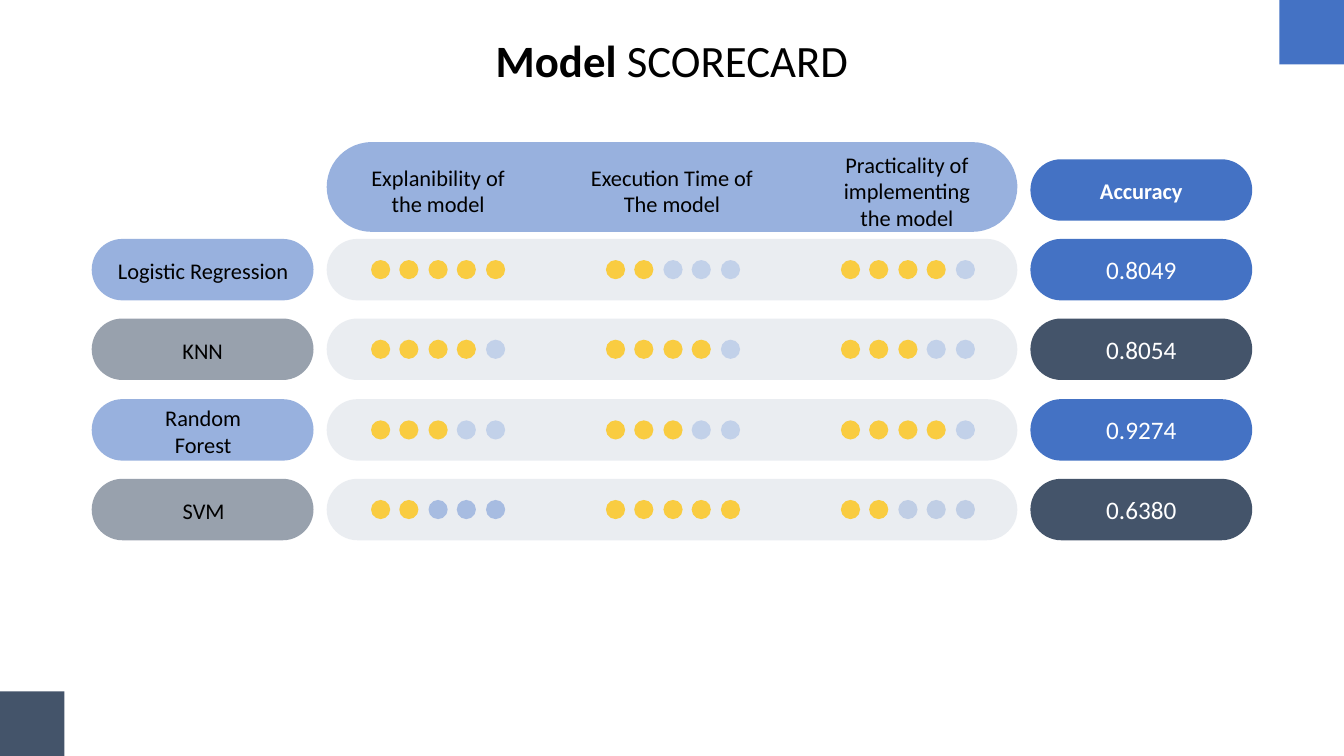
"""Build the model scorecard slide."""
from dataclasses import dataclass

from lxml import etree
from pptx import Presentation
from pptx.dml.color import RGBColor
from pptx.enum.shapes import MSO_SHAPE
from pptx.enum.text import MSO_ANCHOR, MSO_AUTO_SIZE, PP_ALIGN
from pptx.oxml.ns import qn
from pptx.util import Pt

RECTANGLE = MSO_SHAPE.RECTANGLE
PILL = MSO_SHAPE.ROUNDED_RECTANGLE
DOT = MSO_SHAPE.OVAL
MIDDLE = MSO_ANCHOR.MIDDLE
CENTER = PP_ALIGN.CENTER
GROW = MSO_AUTO_SIZE.SHAPE_TO_FIT_TEXT
EMU_PER_PX = 9144


@dataclass(frozen=True)
class Paint:
    color: str
    opacity: int = 100


@dataclass(frozen=True)
class Theme:
    font: str = "Calibri"
    title_size: int = 32
    value_size: int = 18
    label_size: int = 16
    black: str = "000000"
    white: str = "FFFFFF"
    blue: Paint = Paint("4472C4")
    slate: Paint = Paint("44546A")
    soft_blue: Paint = Paint("4472C4", 55)
    soft_slate: Paint = Paint("44546A", 55)
    track: Paint = Paint("ADB9CA", 25)
    earned: Paint = Paint("FFC000", 73)
    missed: Paint = Paint("B4C7E7", 73)
    missed_dark: Paint = Paint("8FAADC", 73)
    missed_pale: Paint = Paint("4472C4", 25)


THEME = Theme()


@dataclass(frozen=True)
class Box:
    left: int
    top: int
    width: int
    height: int

    def emu(self) -> tuple[int, ...]:
        return tuple(side * EMU_PER_PX
                     for side in (self.left, self.top, self.width, self.height))


@dataclass(frozen=True)
class Label:
    box: Box
    lines: tuple[str, ...]
    color: str = THEME.black
    bold: bool = False
    side_inset: int = 0


@dataclass(frozen=True)
class Rating:
    score: int
    missed: Paint = THEME.missed


@dataclass(frozen=True)
class Model:
    name: str
    label_left: int
    label_width: int
    ratings: tuple[Rating, ...]
    accuracy: str
    name_paint: Paint
    accuracy_paint: Paint
    side_inset: int = 0


MODELS = (
    Model("Logistic Regression", 116, 171, (Rating(5), Rating(2), Rating(4)),
          "0.8049", THEME.soft_blue, THEME.blue),
    Model("KNN", 180, 42, (Rating(4), Rating(4), Rating(3)),
          "0.8054", THEME.soft_slate, THEME.slate),
    Model("Random Forest", 136, 131, (Rating(3), Rating(3), Rating(4)),
          "0.9274", THEME.soft_blue, THEME.blue, side_inset=15),
    Model("SVM", 181, 42,
          (Rating(2, THEME.missed_dark), Rating(5), Rating(2, THEME.missed_pale)),
          "0.6380", THEME.soft_slate, THEME.slate),
)

HEADERS = (
    Label(Box(365, 162, 139, 54), ("Explanibility of", "the model")),
    Label(Box(585, 162, 163, 54), ("Execution Time of", "The model")),
    Label(Box(835, 149, 129, 81), ("Practicality of", "implementing", "the model")),
    Label(Box(1089, 176, 86, 27), ("Accuracy",), THEME.white, True),
)

CORNERS = ((Box(1269, 0, 64, 64), THEME.blue), (Box(0, 686, 64, 64), THEME.slate))
NAME_LEFT, TRACK_LEFT, ACCURACY_LEFT = 91, 324, 1022
PILL_WIDTH, TRACK_WIDTH, PILL_HEIGHT = 220, 685, 61
FIRST_ROW_TOP, LAST_ROW_TOP = 237, 475
FIRST_DOT_LEFT, RATING_PITCH, DOT_SIZE, DOTS, DOT_SPAN = 368, 233, 19, 5, 114


def add_figure(page, kind: MSO_SHAPE, box: Box, paint: Paint):
    figure = page.shapes.add_shape(kind, *box.emu())
    figure.shadow.inherit = False
    figure.line.fill.background()
    figure.fill.solid()
    figure.fill.fore_color.rgb = RGBColor.from_string(paint.color)
    if paint.opacity < 100:
        color = figure.fill._xPr.find(".//" + qn("a:srgbClr"))
        etree.SubElement(color, qn("a:alpha"), val=str(paint.opacity * 1000))
    if kind == PILL:
        figure.adjustments[0] = 0.5
    return figure


def style_paragraph(para, size: int, color: str, bold: bool | None = None) -> None:
    para.alignment = CENTER
    para.font.name = THEME.font
    para.font.size = Pt(size)
    para.font.bold = bold
    para.font.color.rgb = RGBColor.from_string(color)


def prepare_frame(frame, wrap: bool, side_inset: int = 0) -> None:
    frame.margin_top = frame.margin_bottom = 0
    frame.margin_left = frame.margin_right = side_inset * EMU_PER_PX
    frame.vertical_anchor = MIDDLE
    frame.word_wrap = wrap
    frame.auto_size = GROW


def add_label(page, label: Label) -> None:
    frame = page.shapes.add_textbox(*label.box.emu()).text_frame
    prepare_frame(frame, label.side_inset > 0, label.side_inset)
    frame.text = "\n".join(label.lines)
    for para in frame.paragraphs:
        style_paragraph(para, THEME.label_size, label.color, label.bold)


def add_title(page) -> None:
    title = page.shapes.title
    title.left, title.top, title.width, title.height = Box(160, 32, 1013, 54).emu()
    prepare_frame(title.text_frame, True)
    para = title.text_frame.paragraphs[0]
    for words, bold in (("Model ", True), ("SCORECARD", False)):
        span = para.add_run()
        span.text = words
        span.font.bold = bold
    style_paragraph(para, THEME.title_size, THEME.black)


def add_rating(page, rating: Rating, left: int, top: int) -> None:
    for index in range(DOTS):
        paint = THEME.earned if index < rating.score else rating.missed
        offset = index * DOT_SPAN // (DOTS - 1)
        add_figure(page, DOT, Box(left + offset, top, DOT_SIZE, DOT_SIZE), paint)


def add_model(page, model: Model, top: int) -> None:
    add_figure(page, PILL, Box(NAME_LEFT, top, PILL_WIDTH, PILL_HEIGHT),
               model.name_paint)
    add_figure(page, PILL, Box(TRACK_LEFT, top, TRACK_WIDTH, PILL_HEIGHT), THEME.track)
    value = add_figure(page, PILL, Box(ACCURACY_LEFT, top, PILL_WIDTH, PILL_HEIGHT),
                       model.accuracy_paint)
    value.text_frame.text = model.accuracy
    value.text_frame.vertical_anchor = MIDDLE
    style_paragraph(value.text_frame.paragraphs[0], THEME.value_size, THEME.white)
    label_box = Box(model.label_left, top + 18, model.label_width, 27)
    add_label(page, Label(label_box, (model.name,), side_inset=model.side_inset))
    for column, rating in enumerate(model.ratings):
        add_rating(page, rating, FIRST_DOT_LEFT + column * RATING_PITCH, top + 21)


def main() -> None:
    deck = Presentation()
    deck.slide_width, deck.slide_height = 1333 * EMU_PER_PX, 750 * EMU_PER_PX
    page = deck.slides.add_slide(deck.slide_layouts[5])
    for box, paint in CORNERS:
        add_figure(page, RECTANGLE, box, paint)
    add_title(page)
    add_figure(page, PILL, Box(TRACK_LEFT, 141, TRACK_WIDTH, 89), THEME.soft_blue)
    add_figure(page, PILL, Box(ACCURACY_LEFT, 158, PILL_WIDTH, PILL_HEIGHT), THEME.blue)
    for header in HEADERS:
        add_label(page, header)
    row_pitch = (LAST_ROW_TOP - FIRST_ROW_TOP) / (len(MODELS) - 1)
    for row, model in enumerate(MODELS):
        add_model(page, model, FIRST_ROW_TOP + round(row * row_pitch))
    deck.save("out.pptx")


if __name__ == "__main__":
    main()
